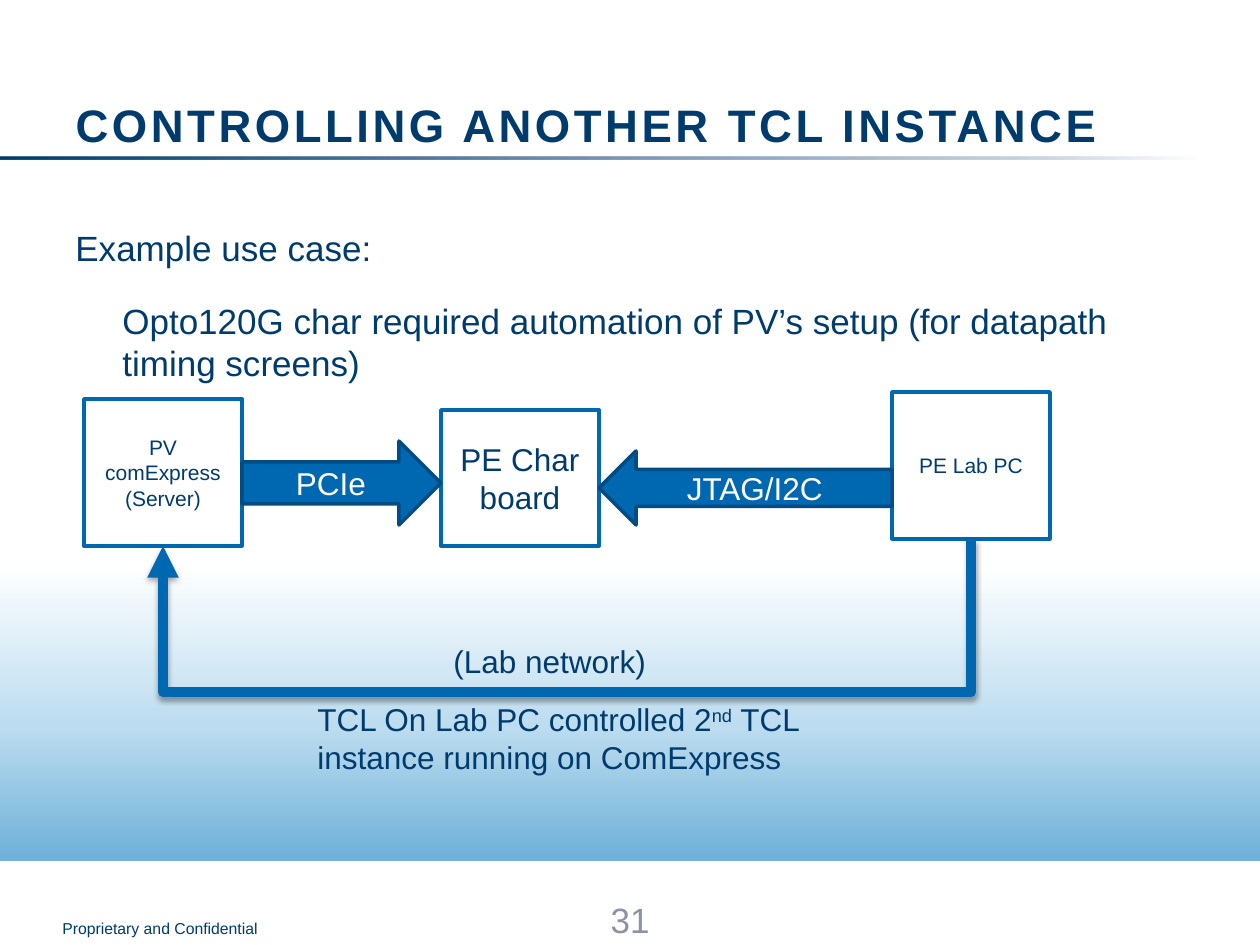
"""Build the slide about controlling another TCL instance."""
from dataclasses import dataclass

from lxml.etree import SubElement
from pptx import Presentation
from pptx.dml.color import RGBColor
from pptx.enum.shapes import MSO_CONNECTOR, MSO_SHAPE
from pptx.enum.text import MSO_ANCHOR, PP_ALIGN
from pptx.oxml.ns import qn
from pptx.util import Pt

TITLE = "CONTROLLING ANOTHER TCL INSTANCE"
BODY = [
    ("Example use case:", 0),
    ("Opto120G char required automation of PV’s setup (for datapath timing screens)", 47),
]
BOXES = {
    "board": (["PE Char board"], (441, 410, 158, 136), 18),
    "express": (["PV comExpress", "(Server)"], (84, 399, 158, 147), 12),
    "lab": (["PE Lab PC"], (892, 392, 158, 147), 12),
}
ARROWS = [
    ("PCIe", MSO_SHAPE.RIGHT_ARROW, "express", "board", 441, 84),
    ("JTAG/I2C", MSO_SHAPE.LEFT_ARROW, "board", "lab", 451, 74),
]
LABELS = [
    ("TCL On Lab PC controlled 2^nd^ TCL instance running on ComExpress", (305, 694, 530, 89)),
    ("(Lab network)", (441, 636, 252, 50)),
]
FOOTER = "Proprietary and Confidential"
PAGE_NUMBER = "31"
NETWORK_LEVEL = 692
PIXEL = 914400 / 126


@dataclass(frozen=True)
class Theme:
    """Colours and type sizes of the slide."""
    font: str = "Arial"
    navy: str = "003B6E"
    blue: str = "0067B1"
    edge: str = "004C83"
    sky: str = "6EB0D8"
    pale: str = "BCDCEF"
    white: str = "FFFFFF"
    grey: str = "8C92A3"
    title: int = 26
    body: int = 20
    label: int = 18
    footer: int = 9


THEME = Theme()


def px(length):
    return round(length * PIXEL)


def area(*lengths):
    return [px(length) for length in lengths]


def write(frame, paragraphs, size, color=THEME.navy, align=PP_ALIGN.LEFT, anchor=MSO_ANCHOR.TOP,
          wrap=True, bold=False, tracking=0, leading=None, before=0, indents=()):
    """Write paragraphs into a frame; text between carets is superscript."""
    frame.word_wrap = wrap
    frame.vertical_anchor = anchor
    for index, text in enumerate(paragraphs):
        para = frame.paragraphs[0] if index == 0 else frame.add_paragraph()
        para.alignment = align
        para.space_before = Pt(before)
        if leading:
            para.line_spacing = Pt(leading)
        if indents:
            para._p.get_or_add_pPr().set("marL", str(px(indents[index])))
        for part, words in enumerate(text.split("^")):
            span = para.add_run()
            span.text = words
            span.font.name = THEME.font
            span.font.size = Pt(size)
            span.font.bold = bold
            span.font.color.rgb = RGBColor.from_string(color)
            if tracking:
                span.font._element.set("spc", str(tracking * 100))
            if part % 2:
                span.font._element.set("baseline", "30000")


def add_label(page, place, paragraphs, size, **style):
    box = page.shapes.add_textbox(*area(*place))
    write(box.text_frame, paragraphs, size, **style)


def add_block(page, kind, place, fill=None, line=None):
    block = page.shapes.add_shape(kind, *area(*place))
    block.shadow.inherit = False
    if fill:
        block.fill.solid()
        block.fill.fore_color.rgb = RGBColor.from_string(fill)
    if line:
        block.line.color.rgb = RGBColor.from_string(line)
        block.line.width = Pt(2)
    else:
        block.line.fill.background()
    return block


def add_gradient(page, place, stops, angle):
    band = add_block(page, MSO_SHAPE.RECTANGLE, place)
    band.fill.gradient()
    band.fill.gradient_angle = angle
    stop_list = band._element.spPr.find(qn("a:gradFill")).find(qn("a:gsLst"))
    stop_list.clear()
    for position, color, opacity in stops:
        stop = SubElement(stop_list, qn("a:gs"), pos=str(position * 1000))
        tint = SubElement(stop, qn("a:srgbClr"), val=color)
        if opacity < 100:
            SubElement(tint, qn("a:alpha"), val=str(opacity * 1000))


def add_network_link(page, start, end):
    """Draw the elbow from one box bottom down and around to another."""
    (start_x, start_y), (end_x, end_y) = start, end
    width, height = end_y - start_y, start_x - end_x
    link = page.shapes.add_connector(MSO_CONNECTOR.ELBOW, 0, 0, px(width), px(height))
    link.left = px((start_x + end_x - width) / 2)
    link.top = px((start_y + end_y - height) / 2)
    link.line.color.rgb = RGBColor.from_string(THEME.blue)
    link.line.width = Pt(6)
    properties = link._element.spPr
    properties.find(qn("a:xfrm")).set("rot", "5400000")
    bend = round((NETWORK_LEVEL - start_y) / width * 100000)
    guides = properties.find(qn("a:prstGeom")).find(qn("a:avLst"))
    SubElement(guides, qn("a:gd"), name="adj1", fmla=f"val {bend}")
    SubElement(properties.find(qn("a:ln")), qn("a:tailEnd"), type="triangle")
    effects = SubElement(properties, qn("a:effectLst"))
    shadow = SubElement(effects, qn("a:outerShdw"), blurRad=str(Pt(3.1)), dist=str(Pt(1.8)),
                        dir="5400000", rotWithShape="0")
    tint = SubElement(shadow, qn("a:srgbClr"), val="000000")
    SubElement(tint, qn("a:alpha"), val="35000")


def bottom_middle(name):
    left, top, width, height = BOXES[name][1]
    return left + width / 2, top + height


def main():
    deck = Presentation()
    deck.slide_width, deck.slide_height = area(1260, 945)
    page = deck.slides.add_slide(deck.slide_layouts[5])

    add_gradient(page, (0, 347, 1260, 514),
                 [(0, THEME.sky, 100), (26, THEME.pale, 100), (58, THEME.white, 100)], 90)
    add_gradient(page, (0, 157, 1197, 3),
                 [(0, THEME.navy, 100), (88, THEME.navy, 20), (100, THEME.navy, 0)], 0)

    title = page.shapes.title
    title.left, title.top, title.width, title.height = area(63, 38, 1134, 120)
    write(title.text_frame, [TITLE], THEME.title, anchor=MSO_ANCHOR.BOTTOM, bold=True,
          tracking=2, leading=30)

    texts, indents = zip(*BODY)
    add_label(page, (63, 220, 1134, 624), texts, THEME.body, before=18, indents=indents)

    centred = {"align": PP_ALIGN.CENTER, "anchor": MSO_ANCHOR.MIDDLE}
    for paragraphs, place, size in BOXES.values():
        box = add_block(page, MSO_SHAPE.RECTANGLE, place, THEME.white, THEME.blue)
        write(box.text_frame, paragraphs, size, **centred)
    for text, kind, source, target, top, height in ARROWS:
        left = BOXES[source][1][0] + BOXES[source][1][2]
        place = (left, top, BOXES[target][1][0] - left, height)
        arrow = add_block(page, kind, place, THEME.blue, THEME.edge)
        write(arrow.text_frame, [text], THEME.label, color=THEME.white, **centred)
    add_network_link(page, bottom_middle("lab"), bottom_middle("express"))

    for text, place in LABELS:
        add_label(page, place, [text], THEME.label)
    add_label(page, (50, 913, 227, 32), [FOOTER], THEME.footer, wrap=False)
    add_label(page, (483, 895, 294, 50), [PAGE_NUMBER], THEME.body, color=THEME.grey, **centred)
    deck.save("out.pptx")


if __name__ == "__main__":
    main()
